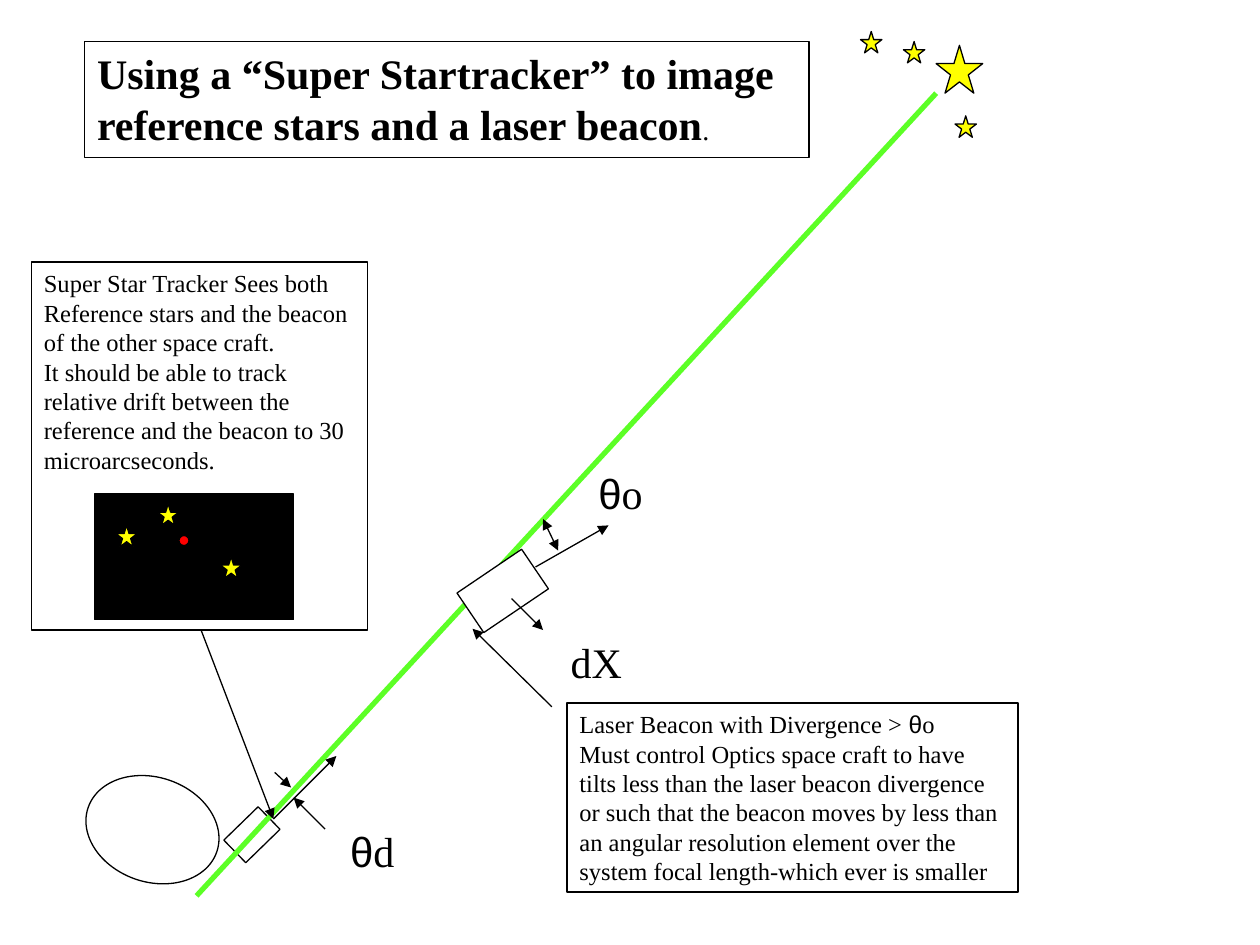
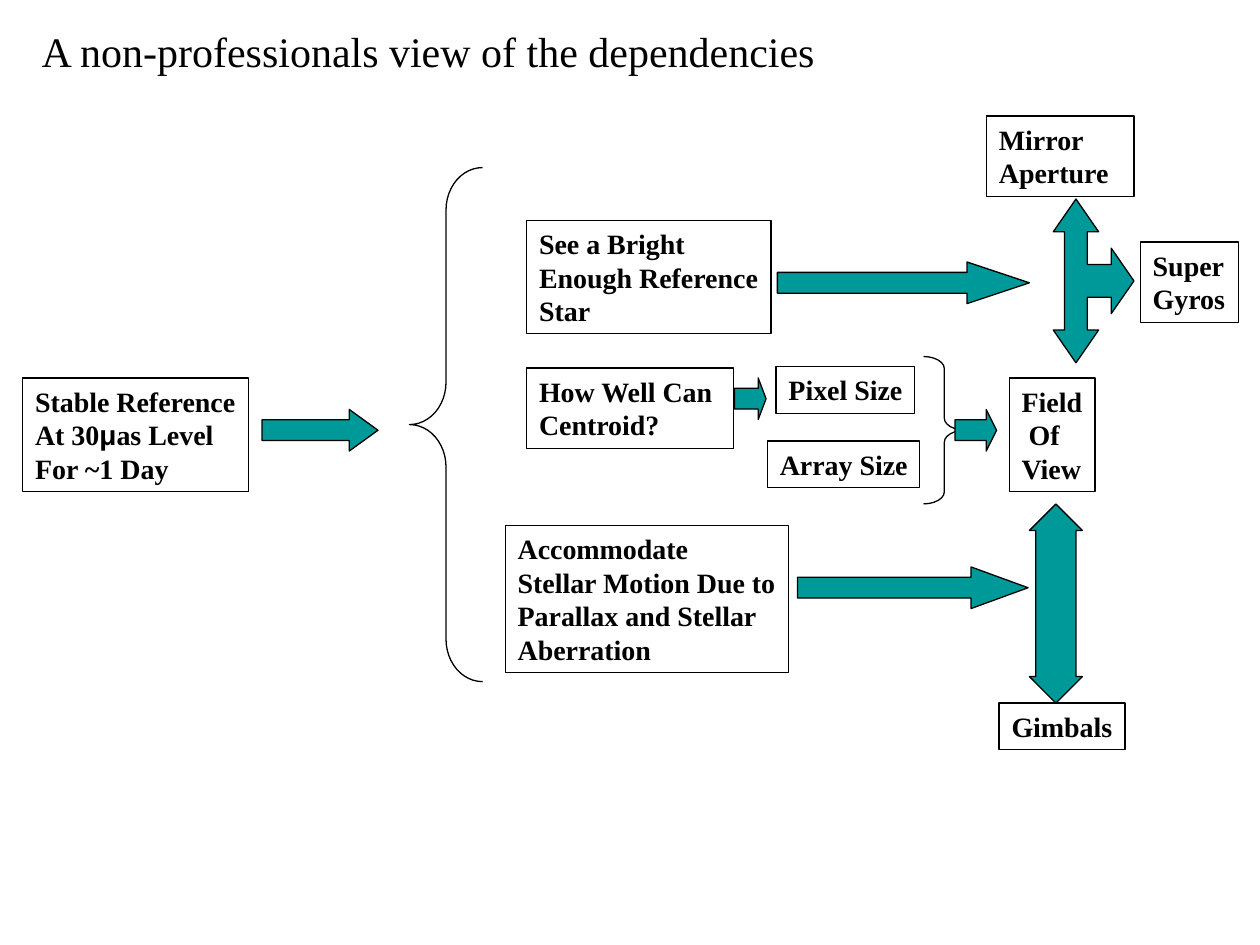
from itertools import groupby

from lxml.etree import SubElement
from pptx import Presentation
from pptx.dml.color import RGBColor
from pptx.enum.shapes import MSO_CONNECTOR, MSO_SHAPE as SHAPE
from pptx.enum.text import MSO_ANCHOR, MSO_AUTO_SIZE, PP_ALIGN
from pptx.oxml.ns import qn
from pptx.util import Inches, Pt

BLACK = RGBColor(0x00, 0x00, 0x00)
WHITE = RGBColor(0xFF, 0xFF, 0xFF)
YELLOW = RGBColor(0xFF, 0xFF, 0x00)
RED = RGBColor(0xFF, 0x00, 0x00)
LASER = RGBColor(0x5C, 0xFF, 0x26)
TEAL = RGBColor(0x00, 0x99, 0x99)
SERIF, GREEK_FONT = "Times New Roman", "Arial"
GREEK = "θμ"
THIN = 0.75
TITLE_ONLY = 5
SMALL_STAR = 0.17


def paint(sp, fill=None, line=BLACK):
    if fill is None:
        sp.fill.background()
    else:
        sp.fill.solid()
        sp.fill.fore_color.rgb = fill
    if line is None:
        sp.line.fill.background()
    else:
        sp.line.color.rgb = line
        sp.line.width = Pt(THIN)


def add_figure(slide, kind, box, fill=None, line=BLACK, rotation=0, adjust=()):
    sp = slide.shapes.add_shape(kind, *map(Inches, box))
    sp.shadow.inherit = False
    paint(sp, fill, line)
    sp.rotation = rotation
    for i, value in enumerate(adjust):
        sp.adjustments[i] = value
    return sp


def format_run(r, size, bold, font=SERIF):
    r.font.name = font
    r.font.size = Pt(size)
    r.font.bold = bold
    r.font.color.rgb = BLACK


def write(tf, text, size, bold=False, wrap=True):
    """Fill a frame, one paragraph a line, with Greek letters in their own font."""
    tf.word_wrap = wrap
    tf.auto_size = MSO_AUTO_SIZE.NONE
    tf.vertical_anchor = MSO_ANCHOR.TOP
    for i, line in enumerate(text.split("\n")):
        p = tf.add_paragraph() if i else tf.paragraphs[0]
        p.alignment = PP_ALIGN.LEFT
        for greek, letters in groupby(line, lambda letter: letter in GREEK):
            r = p.add_run()
            r.text = "".join(letters)
            format_run(r, size, bold, GREEK_FONT if greek else SERIF)


def add_title(slide, text, box, bold=False, wrap=True):
    title = slide.shapes.title
    title.left, title.top, title.width, title.height = map(Inches, box)
    write(title.text_frame, text, 24, bold, wrap)
    return title


def add_label(slide, text, box):
    sp = slide.shapes.add_textbox(*map(Inches, box))
    write(sp.text_frame, text, 24)


def add_note(slide, text, box):
    sp = add_figure(slide, SHAPE.RECTANGLE, box, WHITE)
    write(sp.text_frame, text, 14)


def add_node(slide, text, box, wrap=False):
    sp = add_figure(slide, SHAPE.RECTANGLE, box)
    write(sp.text_frame, text, 16, True, wrap)
    return sp


def add_star(slide, left, top):
    add_figure(slide, SHAPE.STAR_5_POINT, (left, top, SMALL_STAR, SMALL_STAR), YELLOW)


def add_line(slide, start, end, color=BLACK, width=THIN, ends=("tailEnd",)):
    line = slide.shapes.add_connector(
        MSO_CONNECTOR.STRAIGHT, *map(Inches, (*start, *end)))
    line.line.color.rgb = color
    line.line.width = Pt(width)
    for tag in ends:
        SubElement(line.line._get_or_add_ln(), qn("a:" + tag), type="triangle")
    SubElement(line._element.spPr, qn("a:effectLst"))


def add_three_way_arrow(slide):
    """Draw the up, down and right arrow, mirrored about its middle line."""
    middle = 2.23
    upper = [(8.82, 0.26), (8.82, 0.13), (8.63, 0.13), (8.63, 0.39),
             (8.72, 0.39), (8.54, 0.65), (8.36, 0.39), (8.45, 0.39)]
    points = [(x, middle - dy) for x, dy in upper]
    points += [(x, middle + dy) for x, dy in reversed(upper)]
    builder = slide.shapes.build_freeform(
        Inches(9), Inches(middle), scale=1.0)
    builder.add_line_segments(
        [(Inches(x), Inches(y)) for x, y in points], close=True)
    sp = builder.convert_to_shape()
    sp.shadow.inherit = False
    paint(sp, TEAL)


def build_startracker(slide):
    title = add_title(
        slide, "Using a “Super Startracker” to image reference stars and a laser beacon",
        (0.67, 0.33, 5.75, 0.92), bold=True)
    paint(title, WHITE)
    r = title.text_frame.paragraphs[0].add_run()
    r.text = "."
    format_run(r, 16, False)

    add_figure(slide, SHAPE.OVAL, (0.67, 6.17, 1.08, 0.83), rotation=19)
    add_figure(slide, SHAPE.STAR_5_POINT, (7.43, 0.36, 0.37, 0.38), YELLOW)
    add_figure(slide, SHAPE.RECTANGLE, (1.81, 6.5, 0.38, 0.25), WHITE, rotation=315.8)
    add_line(slide, (1.56, 7.11), (7.43, 0.74), LASER, 3, ends=())
    add_figure(slide, SHAPE.RECTANGLE, (3.68, 4.5, 0.62, 0.38), WHITE, rotation=325.9)

    add_line(slide, (4.31, 4.12), (4.43, 4.37), ends=("headEnd", "tailEnd"))
    for start, end in (
        ((4.06, 4.75), (4.31, 5)),
        ((2.18, 6.13), (2.31, 6.25)),
        ((2.58, 6.58), (2.33, 6.33)),
        ((1.5, 4.75), (2.17, 6.5)),
        ((4.38, 5.61), (3.75, 4.99)),
        ((4.25, 4.5), (4.83, 4.17)),
        ((2.17, 6.5), (2.67, 6)),
    ):
        add_line(slide, start, end)

    add_label(slide, "dX", (4.43, 5, 1, 1))
    add_label(slide, "θd", (2.68, 6.5, 1, 1))
    add_label(slide, "θo", (4.65, 3.66, 0.6, 0.9))
    add_note(slide,
             "Super Star Tracker Sees both\n"
             "Reference stars and the beacon of the other space craft.\n"
             "It should be able to track relative drift between the reference "
             "and the beacon to 30 microarcseconds.",
             (0.25, 2.08, 2.67, 2.92))
    add_note(slide,
             "Laser Beacon with Divergence > θo\n"
             "Must control Optics space craft to have tilts less than the laser "
             "beacon divergence or such that the beacon moves by less than an "
             "angular resolution element over the system focal length-which "
             "ever is smaller",
             (4.5, 5.58, 3.58, 1.5))

    add_figure(slide, SHAPE.RECTANGLE, (0.75, 3.92, 1.58, 1), BLACK)
    sky_stars = [(6.83, 0.25), (7.17, 0.33), (7.58, 0.92)]
    tracker_stars = [(1.25, 4), (1.75, 4.42), (0.92, 4.17)]
    for left, top in sky_stars + tracker_stars:
        add_star(slide, left, top)
    add_figure(slide, SHAPE.OVAL, (1.42, 4.25, 0.08, 0.08), RED)


def build_dependencies(slide):
    add_title(slide, "A non-professionals view of the dependencies",
              (0.23, 0.15, 6.35, 0.5), wrap=False)

    field = add_node(slide, "Field\nOf\nView", (8.01, 3, 0.68, 0.9))
    field.text_frame.paragraphs[1]._p.get_or_add_pPr().set("marL", str(Pt(4)))
    add_node(slide, "Mirror Aperture", (7.83, 0.92, 1.17, 0.64), wrap=True)
    for text, box in (
        ("See a Bright\nEnough Reference\nStar", (4.18, 1.75, 1.94, 0.9)),
        ("Gimbals", (7.93, 5.58, 1, 0.37)),
        ("Accommodate\nStellar Motion Due to\nParallax and Stellar\nAberration",
         (4.01, 4.17, 2.25, 1.17)),
        ("Super\nGyros", (9.05, 1.92, 0.78, 0.64)),
        ("Stable Reference\nAt 30μas Level\nFor ~1 Day", (0.18, 3, 1.79, 0.9)),
        ("How Well Can\nCentroid?", (4.18, 2.92, 1.64, 0.64)),
        ("Pixel Size", (6.16, 2.91, 1.1, 0.37)),
        ("Array Size", (6.09, 3.5, 1.21, 0.37)),
    ):
        add_node(slide, text, box)

    add_figure(slide, SHAPE.LEFT_BRACE, (3.25, 1.33, 0.58, 4.08), adjust=(0.58, 0.5))
    add_figure(slide, SHAPE.RIGHT_BRACE, (7.33, 2.83, 0.33, 1.17), adjust=(0.29, 0.5))

    for left, top, width, head in (
        (2.08, 3.25, 0.92, 0.69),
        (6.17, 2.08, 2, 1.5),
        (5.83, 3, 0.25, 0.25),
        (7.58, 3.25, 0.33, 0.25),
        (6.33, 4.5, 1.83, 1.37),
    ):
        add_figure(slide, SHAPE.RIGHT_ARROW, (left, top, width, 0.33), TEAL,
                   adjust=(0.5, head))
    add_figure(slide, SHAPE.UP_DOWN_ARROW, (8.17, 4, 0.42, 1.58), TEAL,
               adjust=(0.5, 0.76))
    add_three_way_arrow(slide)


def main():
    prs = Presentation()
    prs.slide_width, prs.slide_height = Inches(10), Inches(7.5)
    for build in (build_startracker, build_dependencies):
        build(prs.slides.add_slide(prs.slide_layouts[TITLE_ONLY]))
    prs.save("out.pptx")


if __name__ == "__main__":
    main()
